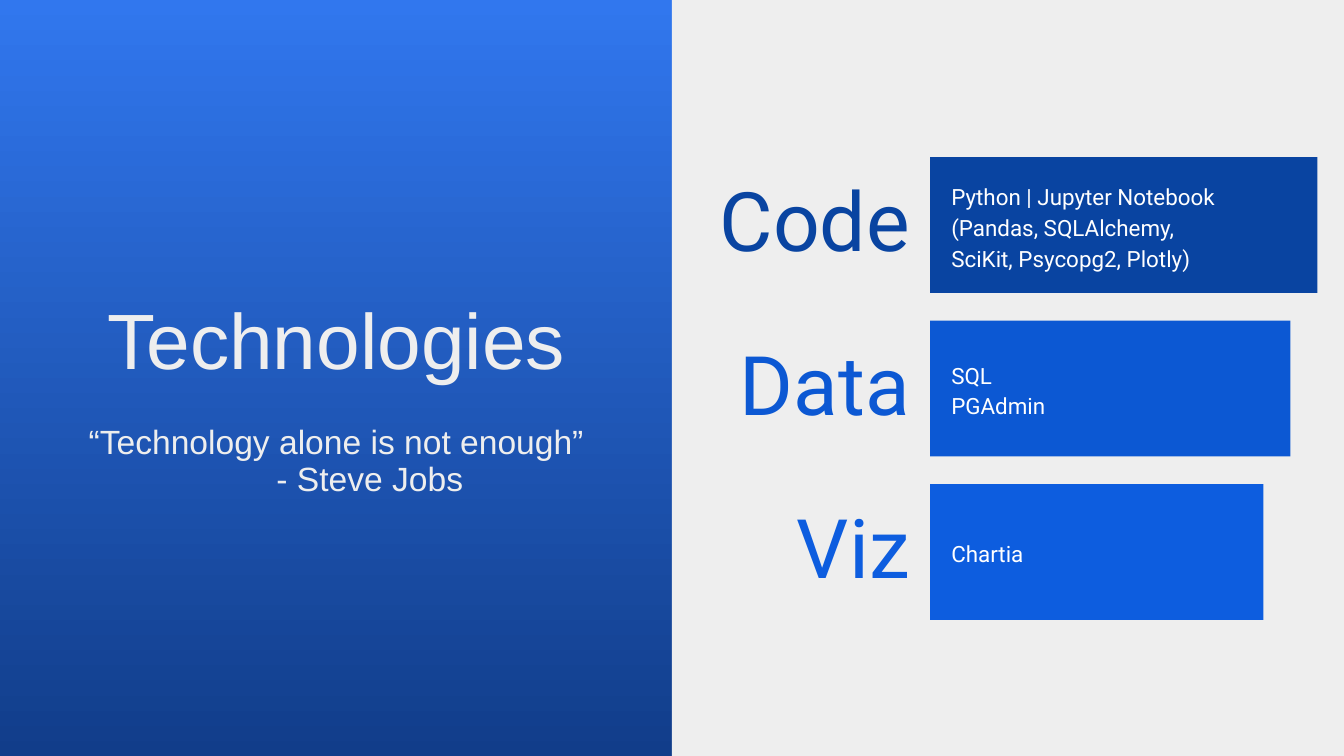
from lxml.etree import SubElement
from pptx import Presentation
from pptx.dml.color import RGBColor as Color
from pptx.enum.shapes import MSO_SHAPE as Shape
from pptx.enum.text import MSO_ANCHOR as Anchor, PP_ALIGN as Align
from pptx.oxml.ns import qn
from pptx.util import Cm, Pt

COLORS = {
    "top": "3177EE", "bottom": "113D8A", "panel": "EEEEEE", "white": "FFFFFF",
    "code": "0944A1", "data": "0C58D3", "viz": "0D5DDF", "shadow": "000000",
}
TITLE = ["Technologies"]
QUOTE = ["“Technology alone is not enough”", "- Steve Jobs"]
ROWS = [
    ("Code", "code", ["Python | Jupyter Notebook", "(Pandas, SQLAlchemy,",
                      "SciKit, Psycopg2, Plotly)"]),
    ("Data", "data", ["SQL", "PGAdmin"]),
    ("Viz", "viz", ["Chartia"]),
]
WIDTH, HEIGHT = 25.4, 14.29
HEAD_LEFT, HEAD_WIDTH = 0.74, 11.23
BAR_LEFT, BAR_TOP, BAR_WIDTH, BAR_HEIGHT = 17.58, 2.97, 7.32, 2.57
ROW_PITCH, BAR_STEP = 3.09, 0.51
LABEL_LEFT, LABEL_WIDTH, LABEL_HEIGHT = 13.28, 4.17, 2.21
DETAIL_LEFT, DETAIL_HEIGHT = 17.73, 2.01


def color(name):
    return Color.from_string(COLORS[name])


def add_rectangle(shapes, left, top, width, height, fill):
    rectangle = shapes.add_shape(Shape.RECTANGLE, Cm(left), Cm(top), Cm(width), Cm(height))
    rectangle.shadow.inherit = False
    rectangle.fill.solid()
    rectangle.fill.fore_color.rgb = color(fill)
    rectangle.line.fill.background()


def add_text(shapes, left, top, width, height, lines, size, font, fill,
             align=Align.LEFT, anchor=Anchor.MIDDLE, spacing=1.0, inset=0.13):
    box = shapes.add_textbox(Cm(left), Cm(top), Cm(width), Cm(height))
    frame = box.text_frame
    frame.text = "\n".join(lines)
    frame.word_wrap = True
    frame.vertical_anchor = anchor
    frame.margin_left = frame.margin_right = Cm(0.25)
    frame.margin_top = frame.margin_bottom = Cm(inset)
    for para in frame.paragraphs:
        para.alignment = align
        para.line_spacing = spacing
        for span in para.runs:
            span.font.size = Pt(size)
            span.font.color.rgb = color(fill)
            span.font.name = font
    return box


def add_text_shadow(box):
    for para in box.text_frame.paragraphs:
        for span in para.runs:
            effects = SubElement(span.font._element, qn("a:effectLst"))
            span.font._element.find(qn("a:solidFill")).addnext(effects)
            shadow = SubElement(effects, qn("a:outerShdw"), blurRad="50800",
                                dist="38100", dir="5400000", algn="t", rotWithShape="0")
            tint = SubElement(shadow, qn("a:srgbClr"), val=COLORS["shadow"])
            SubElement(tint, qn("a:alpha"), val="40000")


def add_row(page, index, label, fill, lines):
    shapes = page.shapes.add_group_shape().shapes
    top = BAR_TOP + index * ROW_PITCH
    middle = top + BAR_HEIGHT / 2
    width = BAR_WIDTH - index * BAR_STEP
    add_text(shapes, LABEL_LEFT, middle - LABEL_HEIGHT / 2, LABEL_WIDTH, LABEL_HEIGHT,
             [label], 44, "Roboto", fill, align=Align.RIGHT, spacing=0.9)
    add_rectangle(shapes, BAR_LEFT, top, width, BAR_HEIGHT, fill)
    add_text(shapes, DETAIL_LEFT, middle - DETAIL_HEIGHT / 2, width - 0.7, DETAIL_HEIGHT,
             lines, 12, "Roboto", "white", spacing=1.15)


def main():
    deck = Presentation()
    deck.slide_width, deck.slide_height = Cm(WIDTH), Cm(HEIGHT)
    page = deck.slides.add_slide(deck.slide_layouts[6])

    backdrop = page.background.fill
    backdrop.gradient()
    backdrop.gradient_angle = 270
    for stop, position, name in zip(backdrop.gradient_stops, (0, 1), ("top", "bottom")):
        stop.position = position
        stop.color.rgb = color(name)

    add_rectangle(page.shapes, WIDTH / 2, 0, WIDTH / 2, HEIGHT, "panel")
    title = add_text(page.shapes, HEAD_LEFT, 3.43, HEAD_WIDTH, 4.11, TITLE, 42, "Arial",
                     "panel", align=Align.CENTER, anchor=Anchor.BOTTOM, inset=0.25)
    quote = add_text(page.shapes, HEAD_LEFT, 7.8, HEAD_WIDTH, 3.43, QUOTE, 18, "Arial",
                     "panel", align=Align.CENTER, anchor=Anchor.TOP, spacing=0.9, inset=0.25)
    author = quote.text_frame.paragraphs[1]
    author._p.get_or_add_pPr().set("marL", str(Cm(1.27)))
    for box in (title, quote):
        add_text_shadow(box)

    for index, row in enumerate(ROWS):
        add_row(page, index, *row)
    deck.save("out.pptx")


if __name__ == "__main__":
    main()
